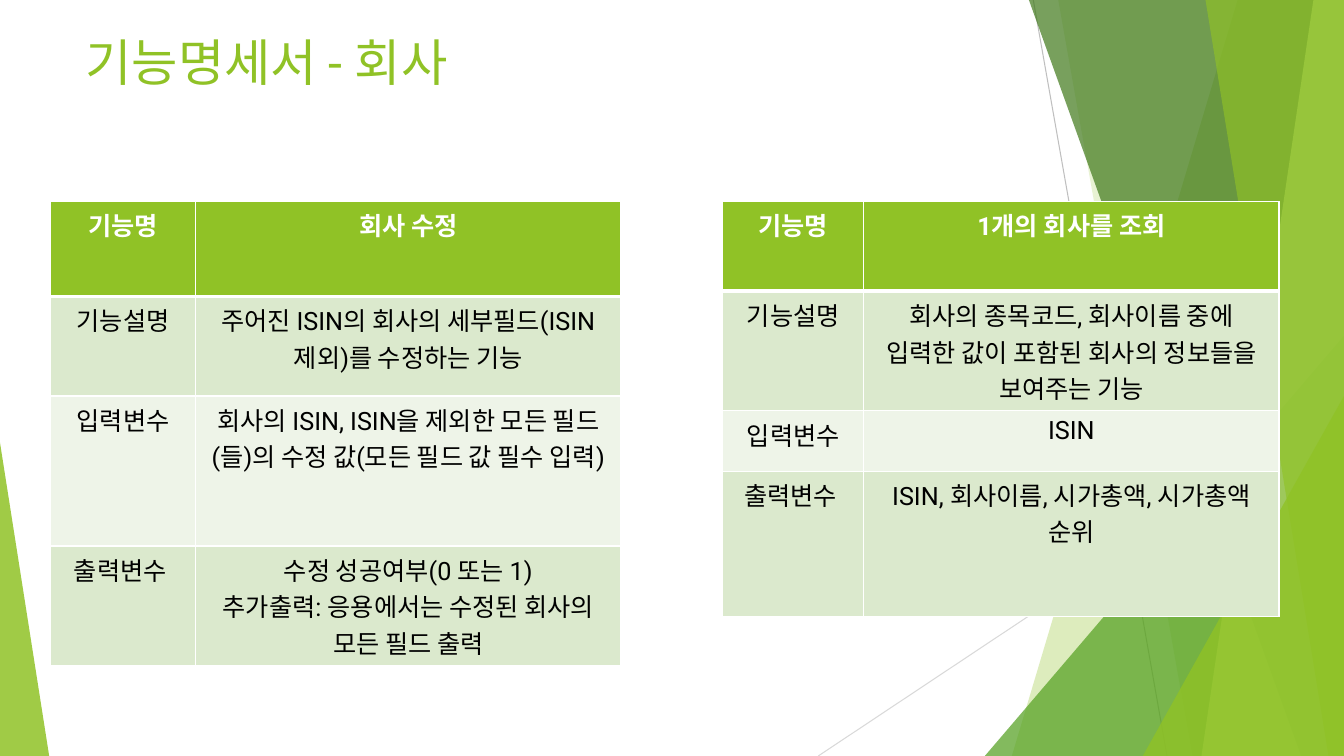
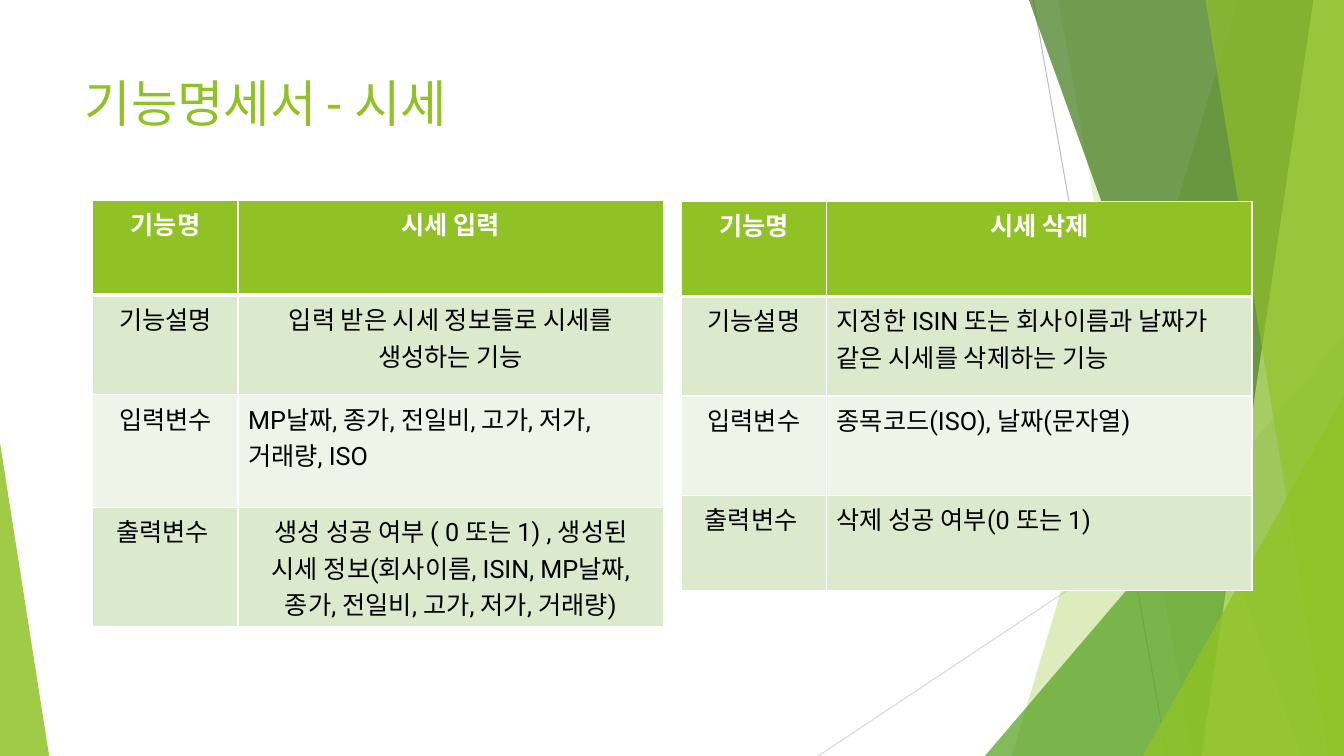
import dataclasses

import lxml.etree
import pptx
import pptx.dml.color
import pptx.enum.shapes
import pptx.enum.text
import pptx.oxml.ns
import pptx.util

Cm = pptx.util.Cm
Pt = pptx.util.Pt
RGBColor = pptx.dml.color.RGBColor
qn = pptx.oxml.ns.qn
ALIGN = pptx.enum.text.PP_ALIGN
SHAPE = pptx.enum.shapes.MSO_SHAPE

SLIDE_WIDTH, SLIDE_HEIGHT = 33.87, 19.05
FONT = "Roboto"
GREEN = RGBColor(0x90, 0xC2, 0x26)
MID_GREEN = RGBColor(0x54, 0xA0, 0x21)
DARK_GREEN = RGBColor(0x3F, 0x78, 0x19)
LIME = RGBColor(0xC0, 0xE4, 0x74)
ROW_DARK = RGBColor(0xDB, 0xE9, 0xCD)
ROW_LIGHT = RGBColor(0xEE, 0xF4, 0xE8)
GREY = RGBColor(0xBF, 0xBF, 0xBF)
PALE_GREY = RGBColor(0xD9, 0xD9, 0xD9)
WHITE = RGBColor(0xFF, 0xFF, 0xFF)
BLACK = RGBColor(0, 0, 0)

TITLE_FORMAT = {"name": FONT, "size": Pt(36), "bold": False}
HEADER_FORMAT = {"name": FONT, "size": Pt(18), "bold": True}
BODY_FORMAT = {**HEADER_FORMAT, "bold": False}
ROW_LABELS = ("기능명", "기능설명", "입력변수", "출력변수 ")
WIDE_COLUMNS = (3.66, 10.72)
NARROW_COLUMNS = (3.56, 10.46)


@dataclasses.dataclass
class Box:
    """A region in centimetres."""
    left: float
    top: float
    width: float
    height: float

    def lengths(self):
        return [Cm(value) for value in dataclasses.astuple(self)]


@dataclasses.dataclass
class FunctionSpec:
    """One function table: its place, sizes and second-column texts."""
    left: float
    top: float
    columns: tuple
    rows: tuple
    texts: tuple
    left_aligned: tuple = ()


def format_paragraph(para, values, color, align):
    para.alignment = align
    for span in para.runs:
        for name, value in values.items():
            setattr(span.font, name, value)
        span.font.color.rgb = color


def paint(shape, color, opacity):
    shape.shadow.inherit = False
    shape.fill.solid()
    shape.fill.fore_color.rgb = color
    tint = next(shape.element.iter(qn("a:srgbClr")))
    lxml.etree.SubElement(tint, qn("a:alpha"), val=str(opacity * 1000))
    shape.line.fill.background()


def add_hairline(page, start, end, color):
    line = page.shapes.add_connector(
        pptx.enum.shapes.MSO_CONNECTOR.STRAIGHT,
        *[Cm(value) for value in start + end])
    line.line.width = Pt(0.75)
    line.line.color.rgb = color
    lxml.etree.SubElement(line.element.spPr, qn("a:effectLst"))


def add_band(page, top_left, bottom_left, color, opacity):
    """Full-height band from a slanted left side to the slide's right edge."""
    right, bottom = Cm(SLIDE_WIDTH), Cm(SLIDE_HEIGHT)
    outline = page.shapes.build_freeform(Cm(top_left), 0)
    outline.add_line_segments(
        [(right, 0), (right, bottom), (Cm(bottom_left), bottom)], close=True)
    paint(outline.convert_to_shape(), color, opacity)


def add_corner(page, left, right, top, apex, color, opacity):
    """Triangle standing on the slide's bottom edge."""
    box = Box(left, top, right - left, SLIDE_HEIGHT - top)
    triangle = page.shapes.add_shape(SHAPE.ISOSCELES_TRIANGLE, *box.lengths())
    triangle.adjustments[0] = apex
    paint(triangle, color, opacity)


def draw_backdrop(page):
    add_hairline(page, (26.04, 0), (29.41, SLIDE_HEIGHT), GREY)
    add_hairline(page, (SLIDE_WIDTH, 10.24), (20.62, SLIDE_HEIGHT), PALE_GREY)
    add_band(page, 31.19, 25.5, GREEN, 30)
    add_band(page, 26.67, 30.05, GREEN, 20)
    add_corner(page, 24.82, SLIDE_WIDTH, 8.46, 1, MID_GREEN, 72)
    add_band(page, 25.93, 32.79, DARK_GREEN, 70)
    add_band(page, 33.1, 30.28, LIME, 70)
    add_band(page, 30.38, 33.48, GREEN, 65)
    add_corner(page, 28.8, SLIDE_WIDTH, 9.98, 1, GREEN, 80)
    add_corner(page, 0, 1.24, 11.15, 0, GREEN, 85)


def move_backdrop_to_layout(page, layout):
    """Make the backdrop drawn on a page part of its layout."""
    title_type = pptx.enum.shapes.PP_PLACEHOLDER.TITLE
    for holder in list(layout.placeholders):
        if holder.placeholder_format.type != title_type:
            layout.shapes.element.remove(holder.element)
    for shape in list(page.shapes):
        if not shape.is_placeholder:
            layout.shapes.element.append(shape.element)


def set_title(page, box, text):
    title = page.shapes.title
    title.left, title.top, title.width, title.height = box.lengths()
    title.text_frame.text = text
    title.text_frame.vertical_anchor = pptx.enum.text.MSO_ANCHOR.TOP
    format_paragraph(title.text_frame.paragraphs[0], TITLE_FORMAT, GREEN,
                     ALIGN.LEFT)


def add_borders(frame, column_count):
    """White cell borders, heavier between the header and the body."""
    for index, properties in enumerate(frame.element.iter(qn("a:tcPr"))):
        row = index // column_count
        heavy_side = {0: "lnB", 1: "lnT"}.get(row)
        for side in ("lnL", "lnR", "lnT", "lnB"):
            width = Pt(3 if side == heavy_side else 1)
            border = lxml.etree.SubElement(properties, qn("a:" + side),
                                           w=str(width))
            fill = lxml.etree.SubElement(border, qn("a:solidFill"))
            lxml.etree.SubElement(fill, qn("a:srgbClr"), val=str(WHITE))


def fill_cell(cell, text, row, align):
    cell.fill.solid()
    cell.fill.fore_color.rgb = (GREEN, ROW_DARK, ROW_LIGHT, ROW_DARK)[row]
    cell.text = text
    values, color = ((BODY_FORMAT, BLACK) if row else (HEADER_FORMAT, WHITE))
    for para in cell.text_frame.paragraphs:
        format_paragraph(para, values, color, align)


def add_function_table(page, spec):
    box = Box(spec.left, spec.top, sum(spec.columns), sum(spec.rows))
    frame = page.shapes.add_table(len(spec.rows), len(spec.columns),
                                  *box.lengths())
    table = frame.table
    table.horz_banding = False
    add_borders(frame, len(spec.columns))
    for column, width in zip(table.columns, spec.columns):
        column.width = Cm(width)
    for row, height in enumerate(spec.rows):
        table.rows[row].height = Cm(height)
        align = ALIGN.LEFT if row in spec.left_aligned else ALIGN.CENTER
        fill_cell(table.cell(row, 0), ROW_LABELS[row], row, ALIGN.CENTER)
        fill_cell(table.cell(row, 1), spec.texts[row], row, align)


PAGES = (
    ("기능명세서 - 회사", Box(1.9, 0.66, 29.2, 3.68), (
        FunctionSpec(1.27, 5.08, WIDE_COLUMNS, (2.39, 2.51, 3.78, 3), (
            "회사 수정",
            "주어진 ISIN의 회사의 세부필드(ISIN제외)를 수정하는 기능",
            "회사의 ISIN, ISIN을 제외한 모든 필드(들)의 수정 값"
            "(모든 필드 값 필수 입력)",
            "수정 성공여부(0 또는 1)\n"
            "추가출력: 응용에서는 수정된 회사의 모든 필드 출력")),
        FunctionSpec(18.21, 5.08, NARROW_COLUMNS, (2.26, 3, 1.52, 3.66), (
            "1개의 회사를 조회",
            "회사의 종목코드, 회사이름 중에 입력한 값이 포함된 "
            "회사의 정보들을 보여주는 기능",
            "ISIN",
            "ISIN, 회사이름, 시가총액, 시가총액 순위")))),
    ("기능명세서 - 시세", Box(1.88, 1.7, 23.88, 3.66), (
        FunctionSpec(2.34, 5.05, WIDE_COLUMNS, (2.39, 2.51, 2.84, 3), (
            "시세 입력",
            "입력 받은 시세 정보들로 시세를 생성하는 기능",
            "MP날짜, 종가, 전일비, 고가, 저가, 거래량, ISO",
            "생성 성공 여부 ( 0 또는 1) , 생성된 시세 정보(회사이름, ISIN, "
            "MP날짜, 종가, 전일비, 고가, 저가, 거래량)"),
            left_aligned=(2,)),
        FunctionSpec(17.17, 5.08, WIDE_COLUMNS, (2.39, 2.51, 2.51, 2.39), (
            "시세 삭제",
            "지정한 ISIN 또는 회사이름과 날짜가 같은 시세를 삭제하는 기능",
            "종목코드(ISO), 날짜(문자열)",
            "삭제 성공 여부(0 또는 1)"),
            left_aligned=(1, 2, 3)))),
)


def main():
    deck = pptx.Presentation()
    deck.slide_width, deck.slide_height = Cm(SLIDE_WIDTH), Cm(SLIDE_HEIGHT)
    layout = deck.slide_layouts.get_by_name("Title Only")
    for number, (title, title_box, specs) in enumerate(PAGES):
        page = deck.slides.add_slide(layout)
        if number == 0:
            draw_backdrop(page)
            move_backdrop_to_layout(page, layout)
        set_title(page, title_box, title)
        for spec in specs:
            add_function_table(page, spec)
    deck.save("out.pptx")


if __name__ == "__main__":
    main()
